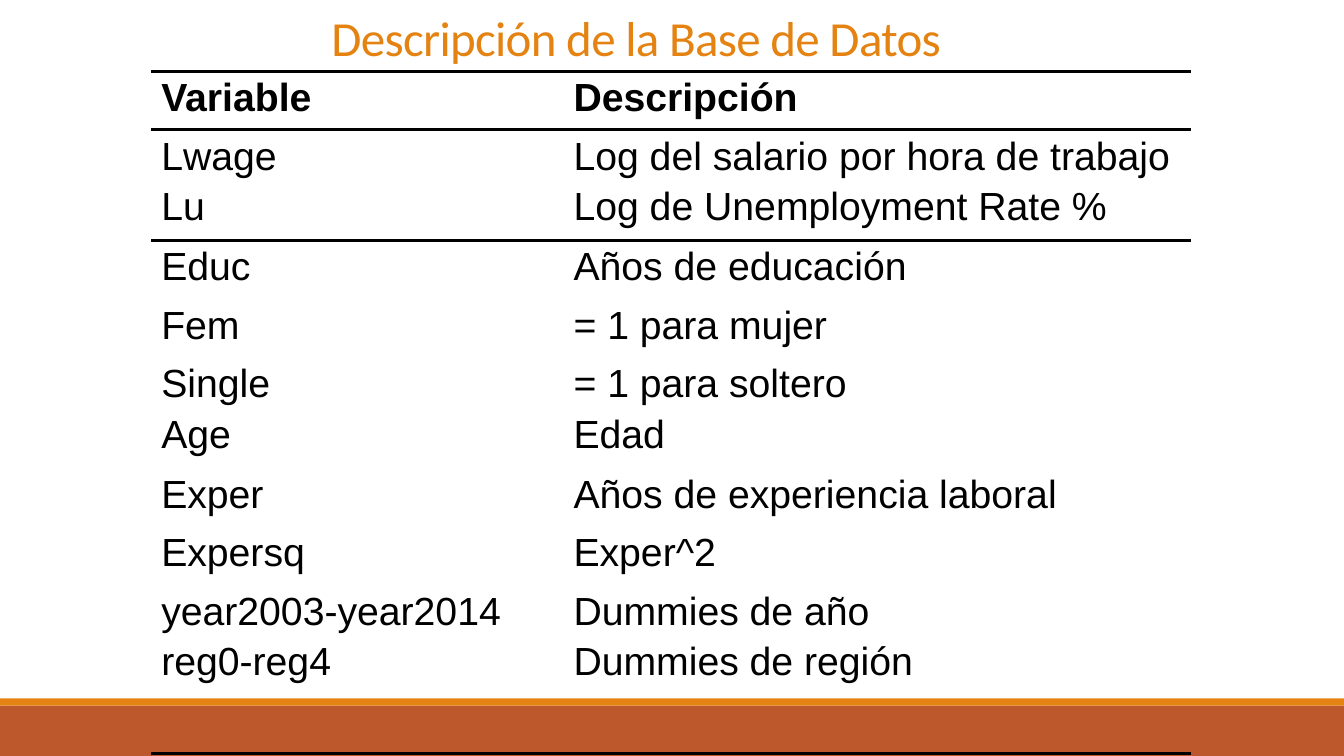
"""Build the slide that describes the variables of the wage database."""
from lxml.etree import SubElement
from pptx import Presentation
from pptx.dml.color import RGBColor
from pptx.enum.shapes import MSO_SHAPE as Shape
from pptx.enum.text import MSO_ANCHOR as Anchor, PP_ALIGN as Align
from pptx.oxml.ns import qn
from pptx.util import Cm, Pt

ORANGE = RGBColor(0xE4, 0x83, 0x12)
RUST = RGBColor(0xBD, 0x58, 0x2C)
BLACK = RGBColor(0, 0, 0)
NO_STYLE = "{2D5ABB26-0587-4C30-8999-92F81FD0307C}"
SINGLE_ROW, DOUBLE_ROW = Cm(1.47), Cm(2.79)

VARIABLES = [
    [("Variable", "Descripción")],
    [("Lwage", "Log del salario por hora de trabajo"),
     ("Lu", "Log de Unemployment Rate %")],
    [("Educ", "Años de educación")],
    [("Fem", "= 1 para mujer")],
    [("Single", "= 1 para soltero"), ("Age", "Edad")],
    [("Exper", "Años de experiencia laboral")],
    [("Expersq", "Exper^2")],
    [("year2003-year2014", "Dummies de año"),
     ("reg0-reg4", "Dummies de región")],
    [],
]


def write(frame, text, font="Arial", size=28, color=BLACK, bold=False,
          before=5, line=1.0, tracking=0):
    for index, words in enumerate(text.split("\n")):
        paragraph = frame.paragraphs[0] if index == 0 else frame.add_paragraph()
        paragraph.alignment = Align.LEFT
        paragraph.space_before = Pt(before)
        paragraph.line_spacing = line
        run = paragraph.add_run()
        run.text = words
        run.font.name, run.font.size, run.font.bold = font, Pt(size), bold
        run.font.color.rgb = color
        if tracking:
            run.font._element.set("spc", str(tracking))


def rule(cell, *sides):
    properties = cell._tc.get_or_add_tcPr()
    for position, side in enumerate(sides):
        border = properties.makeelement(qn(f"a:{side}"), {"w": str(Pt(2.25))})
        fill = SubElement(border, qn("a:solidFill"))
        SubElement(fill, qn("a:srgbClr"), val=str(BLACK))
        properties.insert(position, border)


deck = Presentation()
deck.slide_width, deck.slide_height = Cm(33.87), Cm(19.05)
slide = deck.slides.add_slide(deck.slide_layouts[5])

for top, height, color in [(17.78, 1.27, RUST), (17.6, 0.18, ORANGE)]:
    band = slide.shapes.add_shape(
        Shape.RECTANGLE, 0, Cm(top), deck.slide_width, Cm(height))
    band.shadow.inherit = False
    band.fill.solid()
    band.fill.fore_color.rgb = color
    band.line.fill.background()

title = slide.shapes.title
title.left, title.top, title.width, title.height = Cm(8.1), Cm(0.28), Cm(17.68), Cm(3.18)
title.text_frame.vertical_anchor = Anchor.TOP
title.text_frame.word_wrap = True
write(title.text_frame, "Descripción de la Base de Datos", font="Calibri",
      size=35, color=ORANGE, before=0, line=0.85, tracking=-50)

table_frame = slide.shapes.add_table(
    len(VARIABLES), 2, Cm(3.81), Cm(1.8), Cm(26.21), Cm(17.2))
glossary = table_frame.table
glossary._tbl.tblPr.find(qn("a:tableStyleId")).text = NO_STYLE
glossary.first_row = glossary.horz_banding = False
glossary.columns[0].width, glossary.columns[1].width = Cm(10.39), Cm(15.82)

for row_number, entries in enumerate(VARIABLES):
    glossary.rows[row_number].height = DOUBLE_ROW if len(entries) > 1 else SINGLE_ROW
    for column in range(2):
        cell = glossary.cell(row_number, column)
        cell.fill.background()
        if entries:
            write(cell.text_frame, "\n".join(entry[column] for entry in entries),
                  bold=row_number == 0)
        if row_number == 0:
            rule(cell, "lnT", "lnB")
        elif row_number == 1:
            rule(cell, "lnT")
        elif not entries:
            rule(cell, "lnB")

deck.save("out.pptx")
